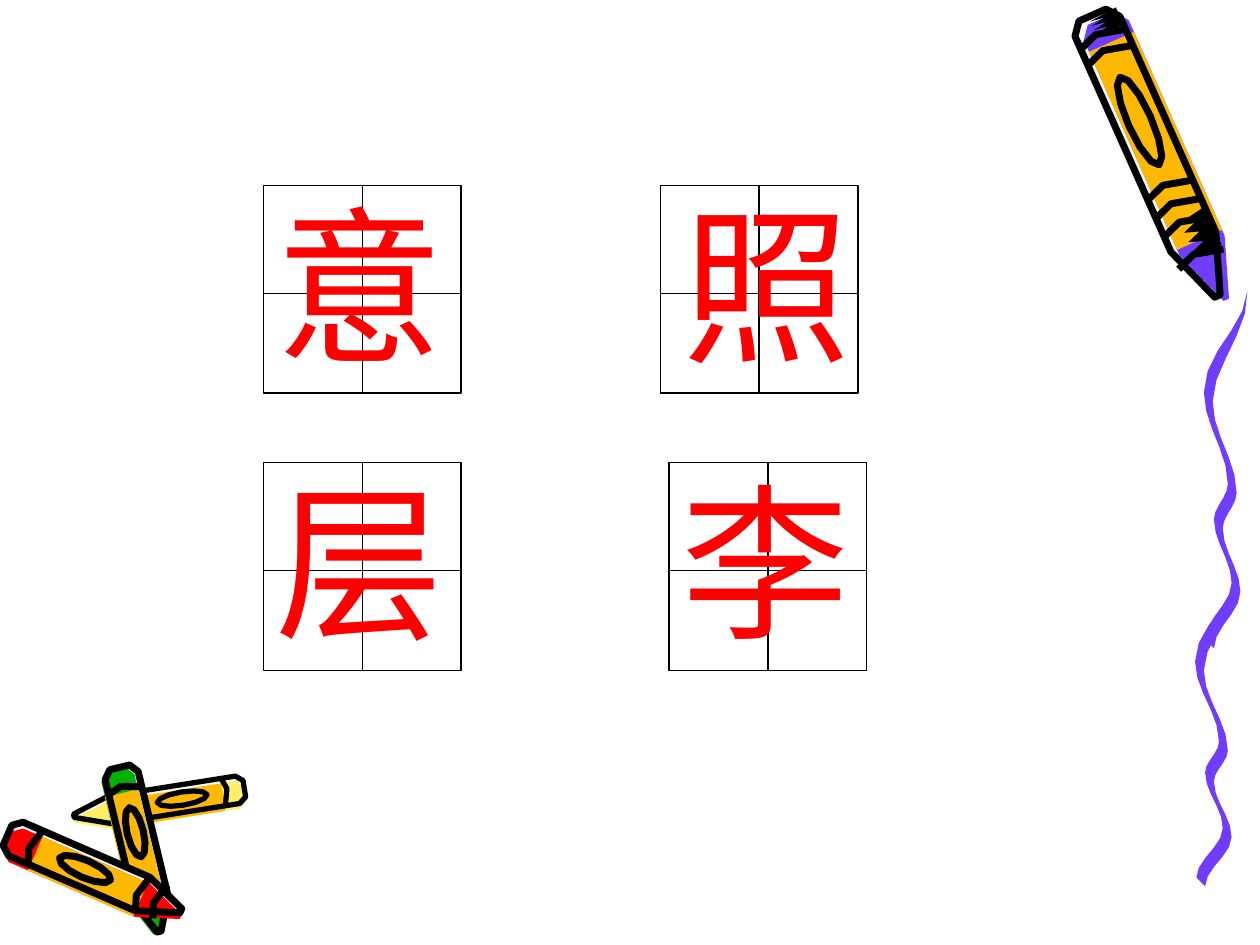
"""Build a slide of four red characters in practice squares, framed by crayons."""
from dataclasses import dataclass
from math import cos, pi, radians, sin

from lxml.etree import SubElement
from pptx import Presentation
from pptx.dml.color import RGBColor
from pptx.enum.lang import MSO_LANGUAGE_ID
from pptx.enum.shapes import MSO_CONNECTOR, MSO_SHAPE
from pptx.oxml.ns import qn
from pptx.util import Inches, Pt

COLORS = {
    "black": "000000", "white": "FFFFFF", "paper": "F8F8F8", "red": "FF0000",
    "purple": "703DFF", "orange": "FFB800", "yellow": "FFEF66", "green": "00B200",
}

SQUARE_WIDTH, SQUARE_HEIGHT, GUIDE_DROP = 1.57, 1.65, 0.86
SQUARES = [
    ("意", 2.09, 1.47, 0), ("照", 5.24, 1.47, 0.08),
    ("层", 2.09, 3.67, 0), ("李", 5.31, 3.67, 0),
]

SCRIBBLE_TURNS = [(0, 0.34), (0.3, 0.03), (0.56, 0.22), (0.66, 0.11), (0.84, 0.25), (1, 0.04)]
SCRIBBLE_STRANDS = [(9.49, 4.55, 2.45), (9.56, 2.31, 2.8)]


@dataclass
class Crayon:
    """Describe a crayon by its axis, measured from the blunt end to the tip."""

    color: str
    left: float
    top: float
    angle: float
    length: float
    width: float
    shoulder: float
    wrapper: tuple
    bands: tuple
    oval: tuple
    drift: tuple
    ink: float
    teeth: tuple = ()

    def place(self, points, drift=(0, 0)):
        """Turn (along, across) points into slide positions; across is in widths."""
        along_x, along_y = cos(radians(self.angle)), sin(radians(self.angle))
        return [(self.left + drift[0] + u * along_x - v * self.width * along_y,
                 self.top + drift[1] + u * along_y + v * self.width * along_x)
                for u, v in points]

    def silhouette(self):
        """Return the outline: chamfered end, straight barrel, tapered tip."""
        half = [(0, 0.3), (0.25 * self.width, 0.5), (self.shoulder, 0.5), (self.length, 0.06)]
        return half + [(u, -v) for u, v in reversed(half)]

    def wrapping(self):
        """Return the corners of the paper wrapper."""
        start, end = self.wrapper
        return [(start, -0.5), (end, -0.5), (end, 0.5), (start, 0.5)]

    def band(self, u):
        """Return a stripe that bends towards the blunt end."""
        return [(u, 0.5), (u - 0.15 * self.width, 0.1), (u, -0.5)]

    def label(self, steps=12):
        """Return the long oval printed on the wrapper."""
        center, reach = self.oval
        turns = [2 * pi * step / steps for step in range(steps)]
        return [(center + reach * cos(turn), 0.24 * sin(turn)) for turn in turns]

    def shading(self, start, end, count=4):
        """Return a row of teeth that grows inwards from the far edge."""
        step = (end - start) / count
        points = [(start, -0.5)]
        for tooth in range(count):
            u = start + tooth * step
            points += [(u + step / 2, 0.1), (u + step, -0.2)]
        return points + [(end, -0.5)]


SMALL_CRAYONS = [
    Crayon("yellow", 1.94, 6.26, 171, 1.37, 0.22, 1.08, (0.17, 1.04), (0.17, 1.06),
           (0.5, 0.2), (0, 0.04), 3),
    Crayon("green", 0.95, 6.09, 76.5, 1.34, 0.27, 1.08, (0.19, 1), (0.19,),
           (0.53, 0.2), (-0.03, 0.02), 4),
    Crayon("red", 0.06, 6.63, 23.5, 1.5, 0.29, 1.17, (0.24, 1.15), (0.24, 1.17, 1.32),
           (0.67, 0.22), (0, 0.05), 4),
]
BIG_CRAYON = Crayon(
    "purple", 8.67, 0.12, 66, 2.44, 0.39, 1.97, (0.2, 1.92), (0.21, 0.35, 1.52, 1.68, 1.84, 2.12),
    (0.92, 0.38), (0.07, 0.03), 4, ((0.02, 0.17), (1.75, 2.08)))


def rgb(name):
    """Return the named colour."""
    return RGBColor.from_string(COLORS[name])


def write_text(frame, text, *, size, color, font="Arial"):
    """Write one formatted run into the first paragraph of a text frame."""
    run = frame.paragraphs[0].add_run()
    run.text = text
    run.font.name = font
    run.font.size = Pt(size)
    run.font.color.rgb = rgb(color)
    run.font.language_id = MSO_LANGUAGE_ID.SIMPLIFIED_CHINESE


class PracticeSlide:
    """Hold the style and the slide being drawn."""

    ink = "black"
    hairline = 0.75
    character_size = 96
    character_color = "red"

    def __init__(self, slide):
        """Keep the slide to draw on."""
        self.shapes = slide.shapes

    def finish(self, figure, fill=None, width=0):
        """Give a shape its fill and its ink line, or neither."""
        figure.shadow.inherit = False
        if fill:
            figure.fill.solid()
            figure.fill.fore_color.rgb = rgb(fill)
        else:
            figure.fill.background()
        if width:
            figure.line.color.rgb = rgb(self.ink)
            figure.line.width = Pt(width)
        else:
            figure.line.fill.background()

    def outline(self, points, fill=None, width=0, close=True):
        """Draw a polygon or an open stroke through points in inches."""
        start, *rest = [(Inches(x), Inches(y)) for x, y in points]
        builder = self.shapes.build_freeform(*start)
        builder.add_line_segments(rest, close=close)
        self.finish(builder.convert_to_shape(), fill, width)

    def crayon(self, crayon):
        """Draw a crayon: paper, drifting colour, then ink."""
        body = crayon.silhouette()
        self.outline(crayon.place(body), fill="paper")
        self.outline(crayon.place(body, crayon.drift), fill=crayon.color)
        self.outline(crayon.place(crayon.wrapping(), crayon.drift), fill="orange")
        for start, end in crayon.teeth:
            self.outline(crayon.place(crayon.shading(start, end)), fill=self.ink)
        for u in crayon.bands:
            self.outline(crayon.place(crayon.band(u)), width=crayon.ink, close=False)
        self.outline(crayon.place(crayon.label()), width=crayon.ink)
        self.outline(crayon.place(body), width=crayon.ink)

    def scribble(self, left, top, height, steps=5, thickness=0.035):
        """Draw a ribbon that eases from one turning point to the next."""
        near, far = [], []
        for (drop, sway), (next_drop, next_sway) in zip(SCRIBBLE_TURNS, SCRIBBLE_TURNS[1:]):
            for step in range(steps + 1):
                part = step / steps
                ease = (1 - cos(pi * part)) / 2
                depth = drop + (next_drop - drop) * part
                x, y = left + sway + (next_sway - sway) * ease, top + height * depth
                half = thickness * min(1, 5 * depth)
                near.append((x - half, y - half))
                far.append((x + half, y + half))
        self.outline(near + far[::-1], fill="purple")

    def guide(self, x1, y1, x2, y2):
        """Draw a thin straight line."""
        line = self.shapes.add_connector(
            MSO_CONNECTOR.STRAIGHT, Inches(x1), Inches(y1), Inches(x2), Inches(y2))
        line.line.color.rgb = rgb(self.ink)
        line.line.width = Pt(self.hairline)
        SubElement(line._element.spPr, qn("a:effectLst"))

    def square(self, left, top):
        """Draw a practice square with its two guide lines."""
        box = self.shapes.add_shape(MSO_SHAPE.RECTANGLE, Inches(left), Inches(top),
                                    Inches(SQUARE_WIDTH), Inches(SQUARE_HEIGHT))
        self.finish(box, "white", self.hairline)
        middle, center = top + GUIDE_DROP, left + SQUARE_WIDTH / 2
        self.guide(left, middle, left + SQUARE_WIDTH, middle)
        self.guide(center, top, center, top + SQUARE_HEIGHT)

    def character(self, text, left, top):
        """Write one large character."""
        frame = self.shapes.add_textbox(Inches(left), Inches(top - 0.08),
                                        Inches(SQUARE_WIDTH), Inches(1.7)).text_frame
        frame.word_wrap = True
        write_text(frame, text, size=self.character_size, color=self.character_color)


def main():
    """Build and save the slide."""
    deck = Presentation()
    deck.slide_width, deck.slide_height = Inches(10), Inches(7.5)
    page = PracticeSlide(deck.slides.add_slide(deck.slide_layouts[6]))
    for strand in SCRIBBLE_STRANDS:
        page.scribble(*strand)
    for crayon in (*SMALL_CRAYONS, BIG_CRAYON):
        page.crayon(crayon)
    for text, left, top, indent in SQUARES:
        page.square(left, top)
        page.character(text, left + indent, top)
    deck.save("out.pptx")


if __name__ == "__main__":
    main()
